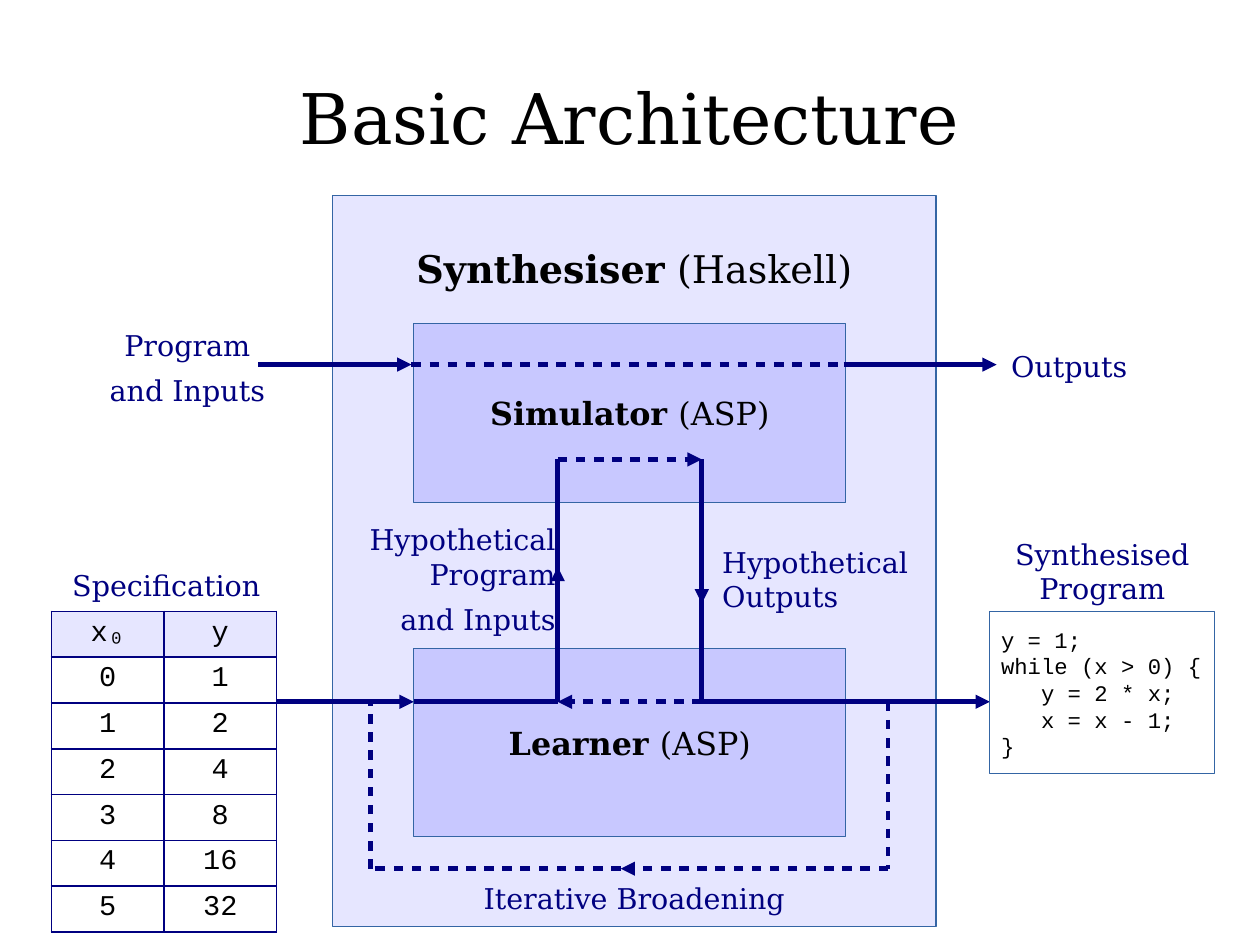
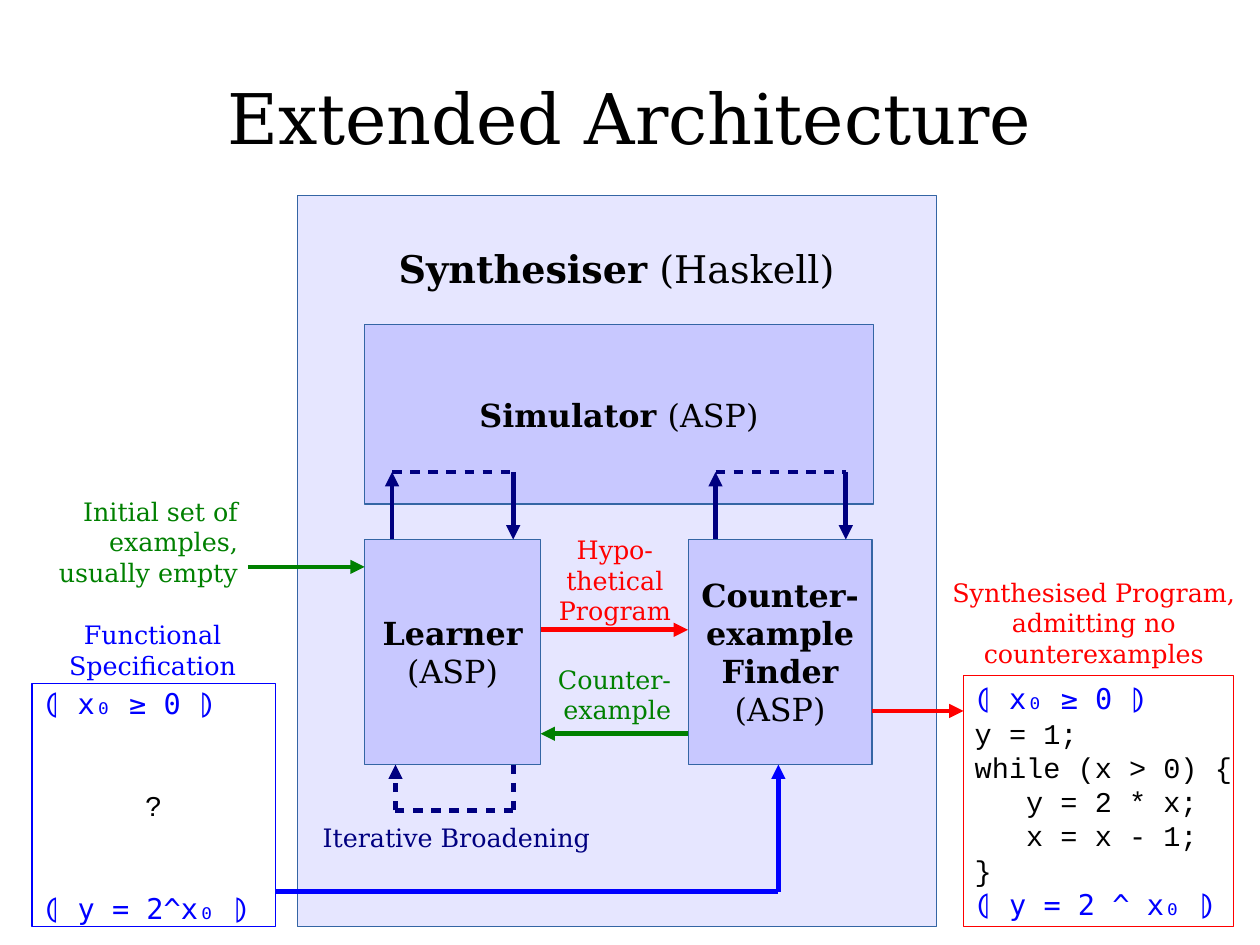
from dataclasses import dataclass

from lxml.etree import SubElement
from pptx import Presentation
from pptx.dml.color import RGBColor
from pptx.enum.shapes import MSO_CONNECTOR, MSO_SHAPE
from pptx.enum.text import MSO_ANCHOR, MSO_AUTO_SIZE, PP_ALIGN
from pptx.oxml.ns import qn
from pptx.util import Inches, Pt

BLACK = RGBColor(0, 0, 0)
WHITE = RGBColor(255, 255, 255)
NAVY = RGBColor(0, 0, 0x80)
BLUE = RGBColor(0, 0, 255)
RED = RGBColor(255, 0, 0)
GREEN = RGBColor(0, 0x80, 0)
OUTLINE = RGBColor(0x34, 0x65, 0xA4)
PALE = RGBColor(0xE6, 0xE6, 0xFF)
LILAC = RGBColor(0xC8, 0xC8, 0xFF)

SERIF = "DejaVu Serif"
MONO = "Courier New"
MATH = "DejaVu Sans Mono"

LEFT, CENTER, RIGHT = PP_ALIGN.LEFT, PP_ALIGN.CENTER, PP_ALIGN.RIGHT
TOP, MIDDLE = MSO_ANCHOR.TOP, MSO_ANCHOR.MIDDLE


@dataclass
class Box:
    left: float
    top: float
    width: float
    height: float

    @property
    def right(self):
        return self.left + self.width

    @property
    def bottom(self):
        return self.top + self.height

    def inner(self, dx, dy, width, height):
        return Box(self.left + dx, self.top + dy, width, height)

    def inches(self):
        return [Inches(v) for v in (self.left, self.top, self.width, self.height)]


@dataclass
class Line:
    text: str = ""
    lead: str = ""
    font: str = SERIF
    color: RGBColor = None
    align: PP_ALIGN = None
    indent: int = 0
    before: float = 0


CODE = [
    Line(text, font=MONO, indent=indent)
    for text, indent in [
        ("y = 1;", 0), ("while (x > 0) {", 0), ("y = 2 * x;", 3),
        ("x = x - 1;", 3), ("}", 0),
    ]
]


def write(frame, lines, size, color=BLACK, align=CENTER):
    for index, line in enumerate(lines):
        if isinstance(line, str):
            line = Line(line)
        paragraph = frame.add_paragraph() if index else frame.paragraphs[0]
        paragraph.alignment = line.align or align
        if line.before:
            paragraph.space_before = Pt(line.before)
        if line.indent:
            margin = Pt(line.indent * size * 0.6)
            paragraph._p.get_or_add_pPr().set("marL", str(margin))
        font = paragraph.font
        font.name, font.size, font.bold = line.font, Pt(size), False
        font.color.rgb = line.color or color
        if line.lead:
            run = paragraph.add_run()
            run.text = line.lead
            run.font.bold = True
        if line.text:
            paragraph.add_run().text = line.text


def add_title(slide, text):
    title = slide.shapes.title
    title.left, title.top, title.width, title.height = Box(0.55, 0.33, 9.92, 1.38).inches()
    frame = title.text_frame
    frame.auto_size = MSO_AUTO_SIZE.NONE
    frame.vertical_anchor = MIDDLE
    frame.margin_left = frame.margin_right = frame.margin_top = frame.margin_bottom = 0
    write(frame, [text], 44)


def add_box(slide, box, lines, size=20, fill=LILAC, outline=OUTLINE, align=CENTER):
    shape = slide.shapes.add_shape(MSO_SHAPE.RECTANGLE, *box.inches())
    shape.shadow.inherit = False
    shape.fill.solid()
    shape.fill.fore_color.rgb = fill
    shape.line.color.rgb = outline
    shape.line.width = 0
    frame = shape.text_frame
    frame.word_wrap = True
    frame.vertical_anchor = MIDDLE
    write(frame, lines, size, align=align)
    return frame


def add_code(slide, box, lines, size, outline=OUTLINE):
    frame = add_box(slide, box, lines, size, WHITE, outline, LEFT)
    frame.margin_right = 0


def add_label(slide, box, lines, size, color=NAVY, align=CENTER, anchor=TOP):
    frame = slide.shapes.add_textbox(*box.inches()).text_frame
    frame.word_wrap = True
    frame.vertical_anchor = anchor
    write(frame, lines, size, color, align)


def add_route(slide, points, color=NAVY, dashed=False, arrow=True):
    for start, end in zip(points, points[1:]):
        connector = slide.shapes.add_connector(
            MSO_CONNECTOR.STRAIGHT, *[Inches(v) for v in (*start, *end)]
        )
        connector.line.color.rgb = color
        connector.line.width = Pt(3)
        properties = connector._element.spPr
        line = properties.find(qn("a:ln"))
        if dashed:
            dash = SubElement(line, qn("a:custDash"))
            SubElement(dash, qn("a:ds"), d="200000", sp="180000")
        if arrow and end == points[-1]:
            SubElement(line, qn("a:tailEnd"), type="triangle")
        SubElement(properties, qn("a:effectLst"))


def add_synthesiser(slide, box):
    frame = add_box(slide, box, [Line(" (Haskell)", "Synthesiser")], 24, PALE)
    frame.vertical_anchor = TOP
    frame.margin_top = Inches(0.44)


def add_examples(slide, box):
    rows = [("x₀", "y")] + [(str(x), str(2**x)) for x in range(6)]
    table = slide.shapes.add_table(len(rows), 2, *box.inches()).table
    table.first_row = table.horz_banding = False
    for row_index, row in enumerate(rows):
        for column_index, text in enumerate(row):
            cell = table.cell(row_index, column_index)
            cell.margin_left = cell.margin_right = Inches(0.1)
            write(cell.text_frame, [Line(text, font=MONO)], 18)
            properties = cell._tc.get_or_add_tcPr()
            for side in ("lnL", "lnR", "lnT", "lnB"):
                border = SubElement(properties, qn(f"a:{side}"), w=str(Pt(1.13)))
                fill = SubElement(border, qn("a:solidFill"))
                SubElement(fill, qn("a:srgbClr"), val=str(NAVY))
            cell.fill.solid()
            cell.fill.fore_color.rgb = WHITE if row_index else PALE
    add_label(slide, box.inner(0.02, -0.43, 1.97, 0.4), ["Specification"], 18)


def add_simulation_flow(slide, simulator):
    y = simulator.top + 0.36
    entry, leave = simulator.left - 0.02, simulator.right - 0.02
    start, end = entry - 1.34, leave + 1.34
    add_route(slide, [(start, y), (entry, y)])
    add_route(slide, [(entry, y), (leave, y)], dashed=True, arrow=False)
    add_route(slide, [(leave, y), (end, y)])
    add_label(slide, Box(start - 1.5, y - 0.37, 1.76, 0.78),
              ["Program", Line("and Inputs", before=7)], 18)
    add_label(slide, Box(end - 0.07, y - 0.19, 1.41, 0.39), ["Outputs"], 18)


def add_learning_flow(slide, simulator, learner):
    up = learner.left + learner.width / 3
    down = learner.left + learner.width * 2 / 3
    turn, y = simulator.bottom - 0.38, learner.top + 0.47
    add_route(slide, [(learner.left - 1.23, y), (learner.left, y)])
    add_route(slide, [(learner.left, y), (up, y)], arrow=False)
    add_route(slide, [(up, y), (up, y - 1.18)])
    add_route(slide, [(up, y - 0.71), (up, turn)], arrow=False)
    add_route(slide, [(up, turn), (down, turn)], dashed=True)
    add_route(slide, [(down, turn), (down, turn + 1.26)])
    add_route(slide, [(down, turn + 0.47), (down, y)], arrow=False)
    add_route(slide, [(down, y), (up, y)], dashed=True)
    add_route(slide, [(down, y), (learner.right + 1.26, y)])
    add_label(slide, Box(up - 1.89, simulator.bottom + 0.12, 1.97, 1.07),
              ["Hypothetical", "Program", Line("and Inputs", before=7)], 18, align=RIGHT)
    add_label(slide, Box(down + 0.08, simulator.bottom + 0.32, 1.97, 0.94),
              ["Hypothetical", "Outputs"], 18, align=LEFT)


def add_broadening_loop(slide, learner):
    left, right = learner.left - 0.38, learner.right + 0.37
    top, bottom = learner.top + 0.47, learner.bottom + 0.28
    middle = learner.left + 1.81
    add_route(slide, [(right, top), (right, bottom), (middle, bottom)], dashed=True)
    add_route(slide, [(middle, bottom), (left, bottom), (left, top)], dashed=True, arrow=False)


def build_basic(slide):
    add_title(slide, "Basic Architecture")
    panel = Box(2.91, 1.71, 5.28, 6.4)
    simulator = panel.inner(0.71, 1.12, 3.78, 1.57)
    learner = panel.inner(0.71, 3.96, 3.78, 1.65)
    add_synthesiser(slide, panel)
    add_box(slide, simulator, [Line("(ASP)", "Simulator ")])
    add_box(slide, learner, [Line("(ASP)", "Learner ")])
    add_simulation_flow(slide, simulator)
    add_learning_flow(slide, simulator, learner)
    add_broadening_loop(slide, learner)
    add_label(slide, panel.inner(0, 5.93, 5.28, 0.43), ["Iterative Broadening"], 18,
              anchor=MIDDLE)
    add_examples(slide, Box(0.45, 5.35, 1.97, 2.8))
    program = Box(8.66, 5.35, 1.97, 1.42)
    add_code(slide, program, CODE, 14)
    add_label(slide, program.inner(0, -0.7, 1.97, 0.68), ["Synthesised", "Program"], 18)


def add_simulator_call(slide, box):
    add_route(slide, [(box.left, box.bottom), (box.left, box.top)])
    add_route(slide, [(box.left, box.top), (box.right, box.top)], dashed=True, arrow=False)
    add_route(slide, [(box.right, box.top), (box.right, box.bottom)])


def add_exchange(slide, box):
    add_label(slide, box.inner(0, -0.08, 1.3, 0.87), ["Hypo-", "thetical Program"], 16,
              RED, anchor=MIDDLE)
    add_route(slide, [(box.left, box.top + 0.79), (box.right, box.top + 0.79)], RED)
    add_label(slide, box.inner(0, 1.05, 1.24, 0.61), ["Counter-", "example"], 16,
              GREEN, RIGHT, MIDDLE)
    add_route(slide, [(box.right, box.top + 1.7), (box.left, box.top + 1.7)], GREEN)


def add_functional_specification(slide, box):
    lines = [
        Line("⦇ x₀ ≥ 0 ⦈", font=MATH, color=BLUE),
        Line("?", font=MONO, align=CENTER, before=43),
        Line("⦇ y = 2^x₀ ⦈", font=MATH, color=BLUE, before=43),
    ]
    add_box(slide, box, lines, 18, WHITE, BLUE, LEFT)
    add_label(slide, box.inner(0.15, -0.61, 1.81, 0.6), ["Functional Specification"], 16, BLUE)


def add_verified_program(slide, box):
    before = Line("⦇ x₀ ≥ 0 ⦈", font=MATH, color=BLUE)
    after = Line("⦇ y = 2 ^ x₀ ⦈", font=MATH, color=BLUE)
    add_code(slide, box, [before, *CODE, after], 18, RED)
    add_label(slide, box.inner(-0.24, -0.91, 2.76, 0.9),
              ["Synthesised Program,", "admitting no", "counterexamples"], 16, RED)


def build_extended(slide):
    add_title(slide, "Extended Architecture")
    panel = Box(2.6, 1.71, 5.59, 6.4)
    learner = panel.inner(0.59, 3.01, 1.54, 1.97)
    finder = panel.inner(3.42, 3.01, 1.61, 1.97)
    specification = Box(0.28, 5.98, 2.13, 2.13)
    program = Box(8.43, 5.91, 2.36, 2.2)
    add_synthesiser(slide, panel)
    add_box(slide, panel.inner(0.59, 1.13, 4.45, 1.57), [Line("(ASP)", "Simulator ")])
    add_box(slide, learner, [Line(lead="Learner"), "(ASP)"])
    add_box(slide, finder, [Line(lead="Counter-example"), Line(lead="Finder"), "(ASP)"])
    add_simulator_call(slide, learner.inner(0.24, -0.59, 1.06, 0.59))
    add_simulator_call(slide, finder.inner(0.24, -0.59, 1.14, 0.59))
    add_exchange(slide, Box(learner.right, learner.top, finder.left - learner.right, 1.97))

    loop = Box(learner.left + 0.27, learner.bottom, 1.03, 0.4)
    add_route(slide, [(loop.right, loop.top), (loop.right, loop.bottom),
                      (loop.left, loop.bottom), (loop.left, loop.top)], dashed=True)
    add_label(slide, loop.inner(-0.82, 0.32, 2.62, 0.63), ["Iterative Broadening"], 16,
              align=RIGHT, anchor=MIDDLE)

    add_label(slide, Box(0.31, 4.29, 1.87, 0.87),
              ["Initial set of examples, usually empty"], 16, GREEN, RIGHT)
    add_route(slide, [(2.17, 4.96), (learner.left, 4.96)], GREEN)
    add_functional_specification(slide, specification)
    add_verified_program(slide, program)
    entry = finder.left + 0.79
    add_route(slide, [(specification.right, 7.8), (entry, 7.8), (entry, finder.bottom)], BLUE)
    add_route(slide, [(finder.right, 6.22), (program.left, 6.22)], RED)


def main():
    presentation = Presentation()
    presentation.slide_width = Inches(28 / 2.54)
    presentation.slide_height = Inches(21 / 2.54)
    for build in (build_basic, build_extended):
        build(presentation.slides.add_slide(presentation.slide_layouts[5]))
    presentation.save("out.pptx")


if __name__ == "__main__":
    main()
